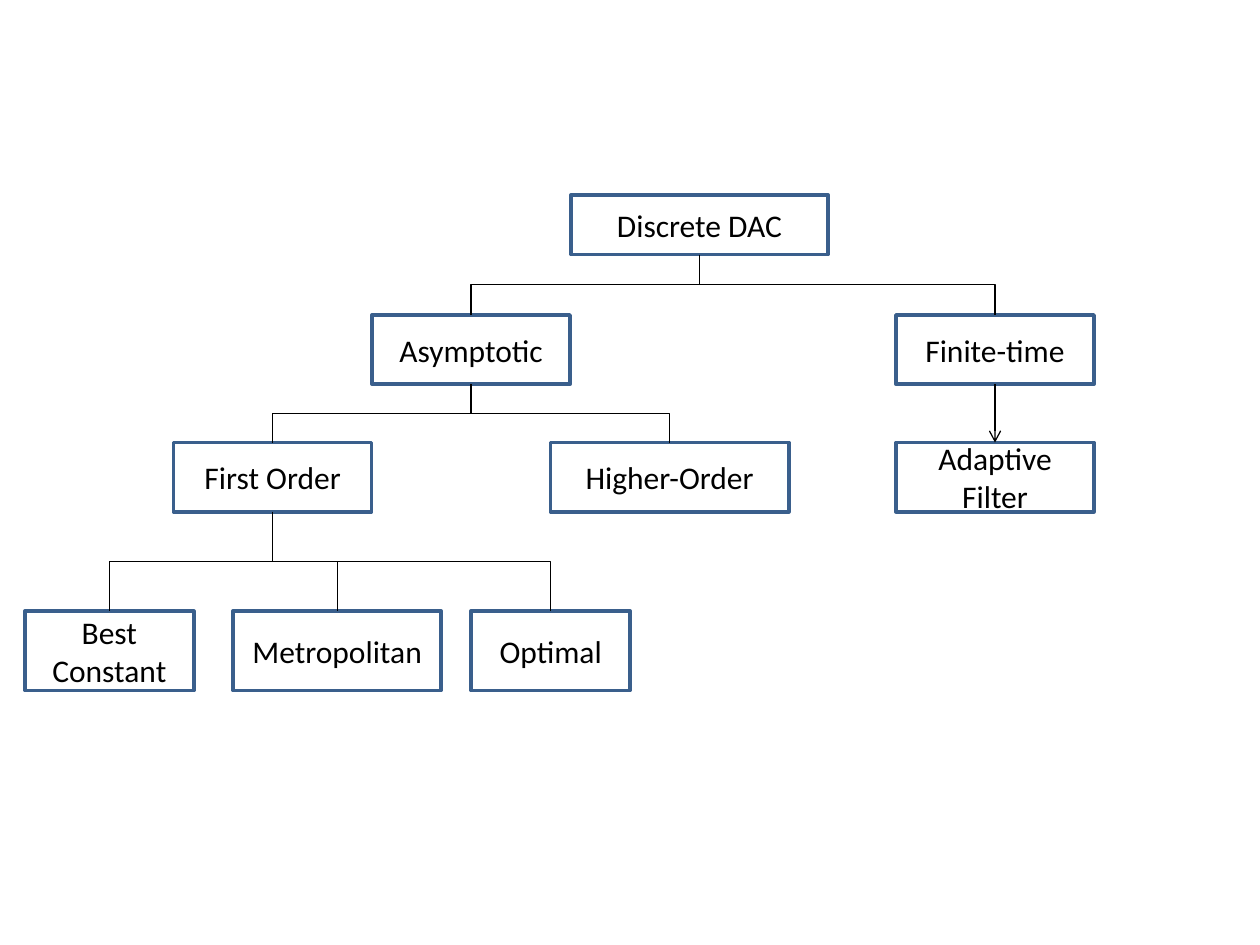
from lxml.etree import SubElement
from pptx import Presentation
from pptx.dml.color import RGBColor
from pptx.enum.shapes import MSO_CONNECTOR, MSO_SHAPE
from pptx.enum.text import MSO_ANCHOR, PP_ALIGN
from pptx.oxml.ns import qn
from pptx.util import Pt

BOTTOM_SITE, TOP_SITE = 2, 0

ROWS = [
    (111.5, 34, [("Discrete DAC", 326.2, 147)]),
    (180, 39.6, [("Asymptotic", 212.6, 113.2), ("Finite-time", 512, 113.2)]),
    (252.9, 39.6, [("First Order", 99.2, 113.2), ("Higher-Order", 314.6, 136.2),
                   ("Adaptive Filter", 512, 113.2)]),
    (349.2, 45.4, [("Best Constant", 14.2, 96.6), ("Metropolitan", 133.2, 119),
                   ("Optimal", 269.2, 91)]),
]
BRANCHES = {
    "Discrete DAC": ["Asymptotic", "Finite-time"],
    "Asymptotic": ["First Order", "Higher-Order"],
    "First Order": ["Best Constant", "Metropolitan", "Optimal"],
}


def color(value):
    return RGBColor.from_string(value)


def add_box(s, text, x, y, w, h):
    sp = s.shapes.add_shape(MSO_SHAPE.RECTANGLE, Pt(x), Pt(y), Pt(w), Pt(h))
    sp.shadow.inherit = False
    sp.fill.background()
    sp.line.color.rgb = color("3A5F8C")
    sp.line.width = Pt(2)
    tf = sp.text_frame
    tf.word_wrap = True
    tf.vertical_anchor = MSO_ANCHOR.MIDDLE
    p = tf.paragraphs[0]
    p.text = text
    p.alignment = PP_ALIGN.CENTER
    p.font.name = "Calibri"
    p.font.size = Pt(18)
    p.font.color.rgb = color("000000")
    return sp


def add_link(s, kind, parent, child):
    cxn = s.shapes.add_connector(kind, 0, 0, 0, 0)
    cxn.begin_connect(parent, BOTTOM_SITE)
    cxn.end_connect(child, TOP_SITE)
    cxn.line.color.rgb = color("000000")
    cxn.line.width = Pt(0.75)
    SubElement(cxn._element.spPr, qn("a:effectLst"))
    return cxn


def add_branch(s, parent, child):
    cxn = add_link(s, MSO_CONNECTOR.ELBOW, parent, child)
    to_right = cxn.end_x > cxn.begin_x
    w, h = cxn.width, cxn.height
    cxn.left, cxn.top = cxn.left + (w - h) // 2, cxn.top + (h - w) // 2
    cxn.width, cxn.height = h, w
    xfrm = cxn._element.spPr.find(qn("a:xfrm"))
    xfrm.set("rot", str((270 if to_right else 90) * 60000))
    xfrm.set("flipH", "1" if to_right else "0")


def add_arrow(s, parent, child):
    cxn = add_link(s, MSO_CONNECTOR.STRAIGHT, parent, child)
    ln = cxn._element.spPr.find(qn("a:ln"))
    SubElement(ln, qn("a:tailEnd"), type="arrow")


def main():
    prs = Presentation()
    prs.slide_width, prs.slide_height = Pt(720), Pt(540)
    s = prs.slides.add_slide(prs.slide_layouts[6])
    boxes = {}
    for y, h, row in ROWS:
        for text, x, w in row:
            boxes[text] = add_box(s, text, x, y, w, h)
    for parent, children in BRANCHES.items():
        for child in children:
            add_branch(s, boxes[parent], boxes[child])
    add_arrow(s, boxes["Finite-time"], boxes["Adaptive Filter"])
    prs.save("out.pptx")


main()
